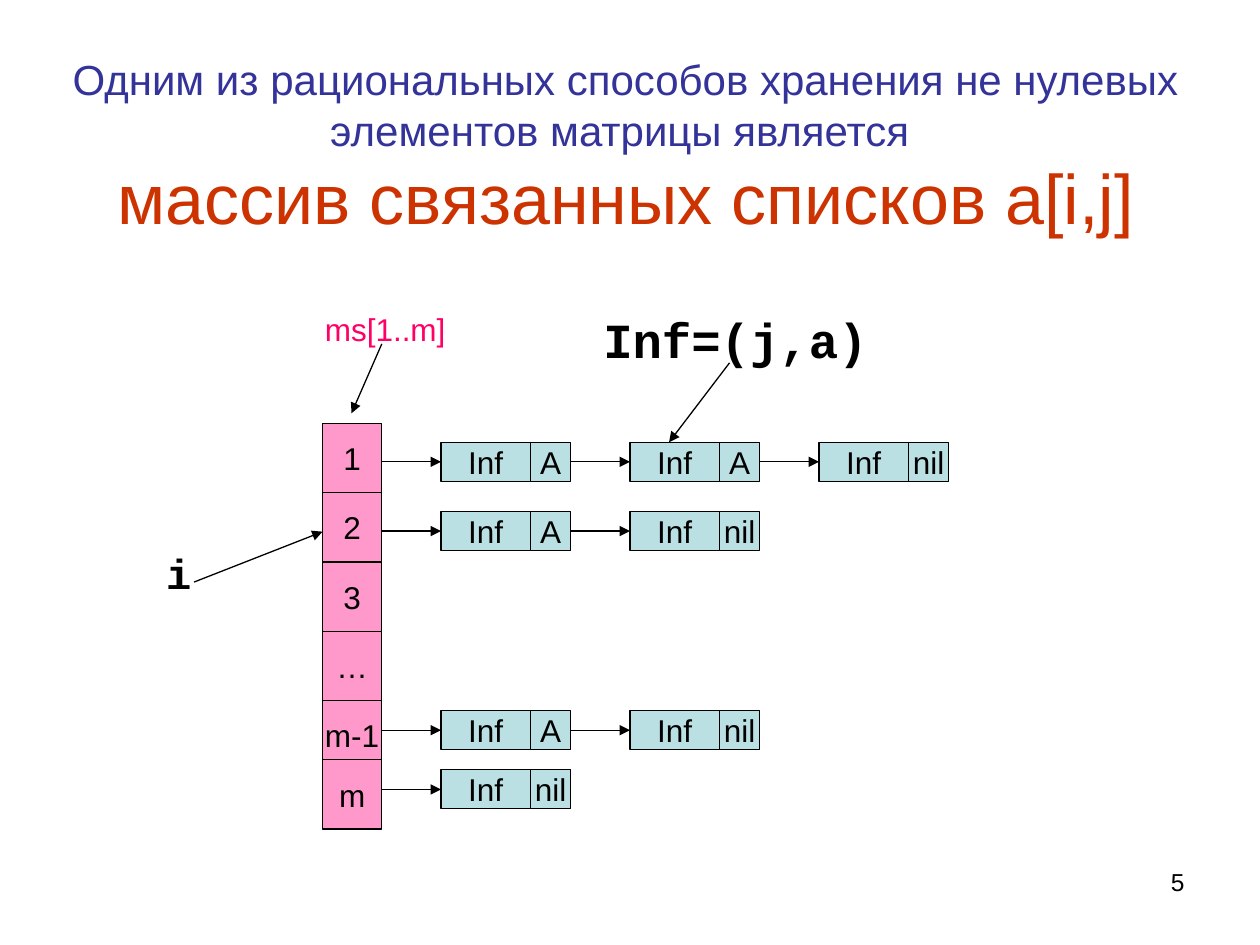
from dataclasses import dataclass

from lxml import etree
from pptx import Presentation
from pptx.dml.color import RGBColor
from pptx.enum import shapes, text
from pptx.oxml import ns
from pptx.util import Inches, Pt

BLACK = RGBColor(0x00, 0x00, 0x00)
INDIGO = RGBColor(0x33, 0x33, 0x99)
RUST = RGBColor(0xCC, 0x33, 0x00)
CRIMSON = RGBColor(0xFF, 0x00, 0x66)
PINK = RGBColor(0xFF, 0x99, 0xCC)
AQUA = RGBColor(0xBB, 0xE0, 0xE3)

ARRAY_LEFT, ARRAY_TOP = 2.56, 3.36
ARRAY_WIDTH, ARRAY_STEP = 0.47, 0.55
LAST_TOP = 6.03
LIST_LEFT, NODE_STEP = 3.5, 1.5
INF_WIDTH, LINK_WIDTH, NODE_HEIGHT = 0.71, 0.32, 0.31


@dataclass(frozen=True)
class Label:
    wording: str
    left: float
    top: float
    width: float
    height: float
    size: float
    font: str = "Arial"
    color: RGBColor = BLACK
    bold: bool = False
    align: text.PP_ALIGN = text.PP_ALIGN.LEFT


@dataclass(frozen=True)
class LinkedList:
    top: float
    nodes: int


@dataclass(frozen=True)
class Arrow:
    x1: float
    y1: float
    x2: float
    y2: float


LABELS = [
    Label("ms[1..m]", 2.48, 2.41, 1.49, 0.4, 18, color=CRIMSON),
    Label("i", 1.22, 4.3, 0.55, 0.5, 24, "Courier New", bold=True),
    Label("Inf=(j,a)", 4.69, 2.41, 2.76, 0.57, 28, "Courier New", bold=True),
    Label("5", 7.17, 6.83, 2.33, 0.52, 14, align=text.PP_ALIGN.RIGHT),
]
LISTS = [LinkedList(3.51, 3), LinkedList(4.06, 2), LinkedList(5.64, 2), LinkedList(6.11, 1)]
POINTERS = [
    Arrow(3.03, 2.73, 2.79, 3.28),
    Arrow(1.54, 4.62, 2.56, 4.22),
    Arrow(5.79, 2.88, 5.31, 3.51),
]


def add_run(paragraph, wording: str, size: float, color: RGBColor,
            font: str = "Arial", bold: bool = False) -> None:
    run = paragraph.add_run()
    run.text = wording
    run.font.size = Pt(size)
    run.font.name = font
    run.font.bold = bold
    run.font.color.rgb = color


def draw_title(slide) -> None:
    title = slide.shapes.title
    title.left, title.top = Inches(0.43), Inches(0.3)
    title.width, title.height = Inches(9.07), Inches(1.72)
    frame = title.text_frame
    frame.auto_size = text.MSO_AUTO_SIZE.NONE
    frame.vertical_anchor = text.MSO_ANCHOR.MIDDLE
    heading = frame.paragraphs[0]
    heading.alignment = text.PP_ALIGN.CENTER
    add_run(heading, "Одним из рациональных способов хранения не нулевых "
                     "элементов матрицы является ", 24, INDIGO)
    heading.add_line_break()
    add_run(heading, "массив связанных списков a[i,j]", 40, RUST)


def draw_cell(slide, wording: str, left: float, top: float,
              width: float, height: float, fill: RGBColor) -> None:
    cell = slide.shapes.add_shape(shapes.MSO_SHAPE.RECTANGLE, Inches(left), Inches(top),
                                  Inches(width), Inches(height))
    cell.shadow.inherit = False
    cell.fill.solid()
    cell.fill.fore_color.rgb = fill
    cell.line.color.rgb = BLACK
    cell.line.width = Pt(0.75)
    frame = cell.text_frame
    frame.word_wrap = False
    frame.vertical_anchor = text.MSO_ANCHOR.MIDDLE
    frame.paragraphs[0].alignment = text.PP_ALIGN.CENTER
    add_run(frame.paragraphs[0], wording, 18, BLACK)


def draw_arrow(slide, arrow: Arrow) -> None:
    connector = slide.shapes.add_connector(
        shapes.MSO_CONNECTOR.STRAIGHT, Inches(arrow.x1), Inches(arrow.y1),
        Inches(arrow.x2), Inches(arrow.y2))
    connector.line.color.rgb = BLACK
    connector.line.width = Pt(0.75)
    properties = connector.element.spPr
    outline = properties.find(ns.qn("a:ln"))
    etree.SubElement(outline, ns.qn("a:tailEnd"), type="triangle")
    etree.SubElement(properties, ns.qn("a:effectLst"))


def draw_array(slide) -> None:
    for index, wording in enumerate(["1", "2", "3", "…", "m-1", "m"]):
        top = min(ARRAY_TOP + index * ARRAY_STEP, LAST_TOP)
        draw_cell(slide, wording, ARRAY_LEFT, top, ARRAY_WIDTH, ARRAY_STEP, PINK)


def draw_list(slide, linked: LinkedList) -> None:
    middle = linked.top + NODE_HEIGHT / 2
    previous_right = ARRAY_LEFT + ARRAY_WIDTH
    for index in range(linked.nodes):
        left = LIST_LEFT + index * NODE_STEP
        link_left = left + INF_WIDTH
        link = "nil" if index == linked.nodes - 1 else "A"
        draw_arrow(slide, Arrow(previous_right, middle, left, middle))
        draw_cell(slide, "Inf", left, linked.top, INF_WIDTH, NODE_HEIGHT, AQUA)
        draw_cell(slide, link, link_left, linked.top, LINK_WIDTH, NODE_HEIGHT, AQUA)
        previous_right = link_left + LINK_WIDTH


def draw_label(slide, label: Label) -> None:
    box = slide.shapes.add_textbox(Inches(label.left), Inches(label.top),
                                   Inches(label.width), Inches(label.height))
    box.text_frame.word_wrap = True
    paragraph = box.text_frame.paragraphs[0]
    paragraph.alignment = label.align
    add_run(paragraph, label.wording, label.size, label.color, label.font, label.bold)


def main() -> None:
    deck = Presentation()
    deck.slide_width, deck.slide_height = Inches(10), Inches(7.5)
    slide = deck.slides.add_slide(deck.slide_layouts[5])
    draw_title(slide)
    draw_array(slide)
    for linked in LISTS:
        draw_list(slide, linked)
    for label in LABELS:
        draw_label(slide, label)
    for pointer in POINTERS:
        draw_arrow(slide, pointer)
    deck.save("out.pptx")


if __name__ == "__main__":
    main()
